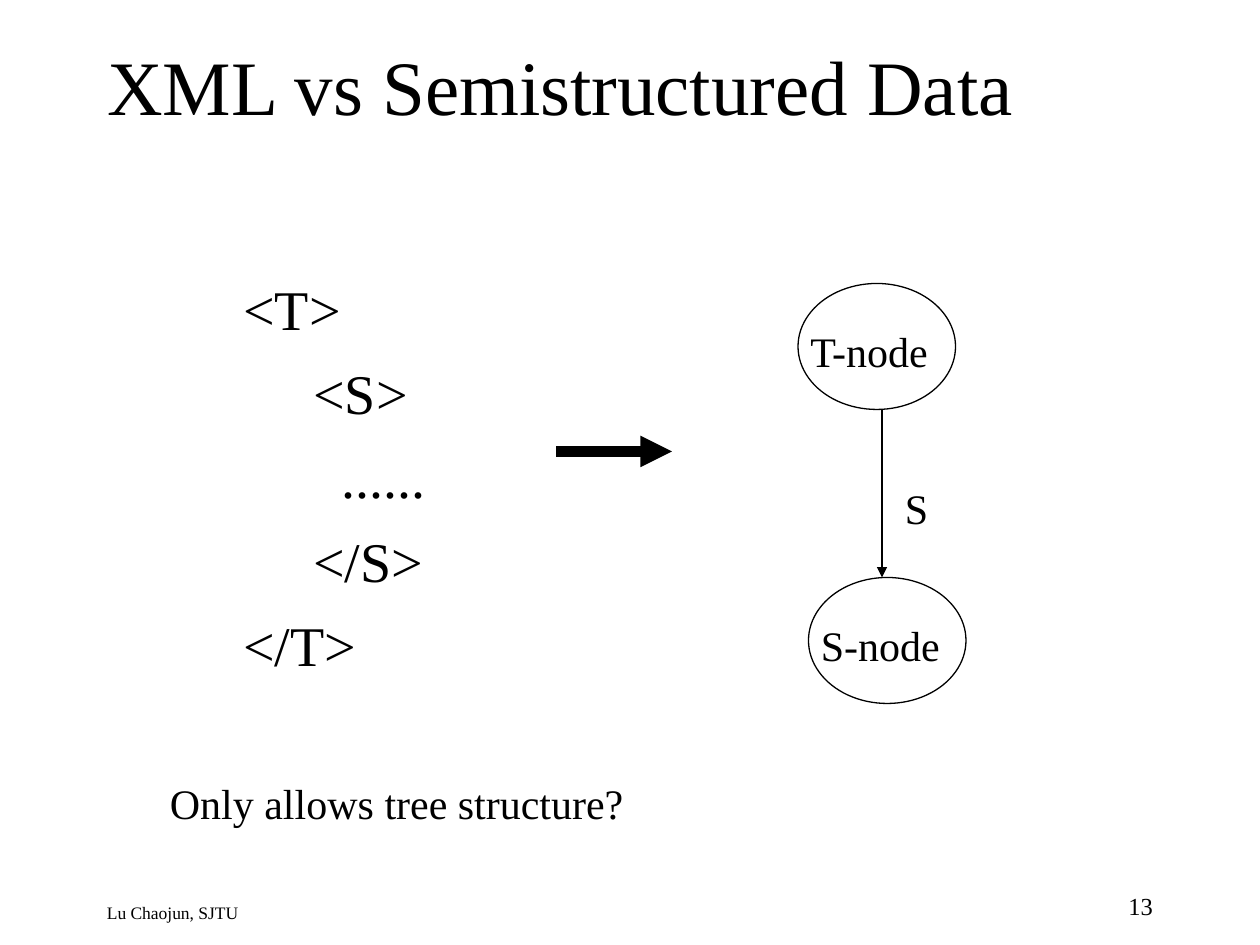
from lxml import etree
from pptx import Presentation
from pptx import util as u
from pptx.dml.color import RGBColor
from pptx.enum import shapes, text
from pptx.oxml.ns import qn

SCALE = 9525


def px(length):
    return u.Emu(length * SCALE)


def colour(value):
    return RGBColor.from_string(value)


def write(frame, content, size, font, ink, align=text.PP_ALIGN.LEFT,
          anchor=text.MSO_ANCHOR.TOP, gap=0, top_inset=8):
    frame.word_wrap = True
    frame.auto_size = text.MSO_AUTO_SIZE.NONE
    frame.vertical_anchor = anchor
    frame.margin_left = frame.margin_right = u.Inches(0.1)
    frame.margin_top, frame.margin_bottom = px(top_inset), px(5)
    for index, line in enumerate(content.split("\n")):
        para = frame.paragraphs[0] if index == 0 else frame.add_paragraph()
        para.alignment = align
        para.space_before = u.Pt(gap if index else 0)
        span = para.add_run()
        span.text = line
        span.font.size = u.Pt(size)
        span.font.name = font
        span.font.color.rgb = colour(ink)


class Page:
    font = "Times New Roman"
    ink = "000000"
    paper = "FFFFFF"

    def __init__(self, deck):
        self.slide = deck.slides.add_slide(deck.slide_layouts[5])

    def title(self, content, x, y, width, height):
        box = self.slide.shapes.title
        box.left, box.top, box.width, box.height = map(px, (x, y, width, height))
        write(box.text_frame, content, 44, self.font, self.ink,
              anchor=text.MSO_ANCHOR.MIDDLE, top_inset=14)

    def label(self, content, x, y, width, height, size=24, **style):
        box = self.slide.shapes.add_textbox(*map(px, (x, y, width, height)))
        write(box.text_frame, content, size, self.font, self.ink, **style)

    def node(self, name, x, y):
        oval = self.slide.shapes.add_shape(
            shapes.MSO_SHAPE.OVAL, *map(px, (x, y, 120, 96)))
        oval.shadow.inherit = False
        oval.fill.solid()
        oval.fill.fore_color.rgb = colour(self.paper)
        oval.line.color.rgb = colour(self.ink)
        oval.line.width = u.Pt(0.75)
        self.label(name, x, y + 24, 128, 48)

    def arrow(self, start, end, weight):
        line = self.slide.shapes.add_connector(
            shapes.MSO_CONNECTOR.STRAIGHT, *map(px, start + end))
        line.line.color.rgb = colour(self.ink)
        line.line.width = u.Pt(weight)
        outline = line.line._get_or_add_ln()
        etree.SubElement(outline, qn("a:tailEnd"), type="triangle")
        etree.SubElement(line._element.spPr, qn("a:effectLst"))


def main():
    deck = Presentation()
    deck.slide_width, deck.slide_height = px(960), px(720)
    page = Page(deck)
    page.title("XML vs Semistructured Data", 72, 0, 816, 120)
    page.label("<T>\n     <S>\n       ......\n     </S>\n</T>",
               176, 200, 280, 432, size=32, gap=9.6, top_inset=9)
    page.node("T-node", 608, 216)
    page.node("S-node", 616, 440)
    page.arrow((672, 312), (672, 440), 0.75)
    page.label("S", 680, 360, 72, 48)
    page.arrow((424, 344), (512, 344), 6)
    page.label("Only allows tree structure?", 120, 584, 616, 48)
    page.label("Lu Chaojun, SJTU", 72, 680, 557, 24, size=10, top_inset=7)
    page.label("13", 688, 672, 200, 32, size=14, align=text.PP_ALIGN.RIGHT,
               top_inset=7)
    deck.save("out.pptx")


if __name__ == "__main__":
    main()
